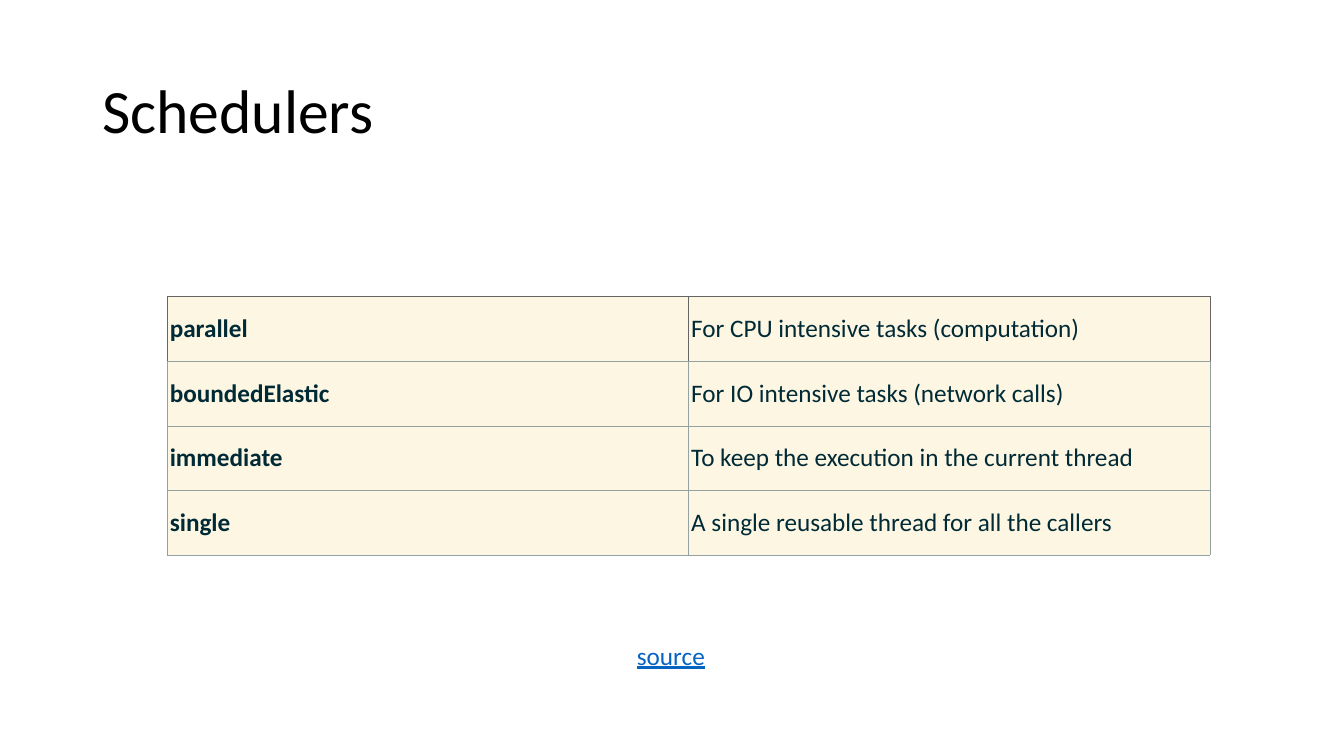
from lxml import etree
from pptx import Presentation
from pptx.dml.color import RGBColor
from pptx.enum.text import MSO_ANCHOR
from pptx.oxml.ns import qn
from pptx.util import Cm, Pt

MIDDLE = MSO_ANCHOR.MIDDLE
BLACK = RGBColor(0x00, 0x00, 0x00)
INK = RGBColor(0x00, 0x2B, 0x36)
CREAM = RGBColor(0xFD, 0xF6, 0xE3)
LINK_BLUE = RGBColor(0x05, 0x63, 0xC1)
HEAD_BORDER = RGBColor(0x65, 0x65, 0x65)
BODY_BORDER = RGBColor(0x93, 0xA1, 0xA1)
BORDER_WIDTH = Pt(0.38)

SCHEDULERS = [
    ("parallel", "For CPU intensive tasks (computation)"),
    ("boundedElastic", "For IO intensive tasks (network calls)"),
    ("immediate", "To keep the execution in the current thread"),
    ("single", "A single reusable thread for all the callers"),
]


def write(frame, text, size, color):
    frame.text = text
    font = frame.paragraphs[0].runs[0].font
    font.name = "Calibri"
    font.size = Pt(size)
    font.color.rgb = color
    return font


def add_border(cell, side, color):
    """Draw one cell edge; call before the cell is filled, sides in order L, R, T, B."""
    properties = cell._tc.get_or_add_tcPr()
    line = etree.SubElement(properties, qn(f"a:ln{side}"), w=str(BORDER_WIDTH))
    fill = etree.SubElement(line, qn("a:solidFill"))
    etree.SubElement(fill, qn("a:srgbClr"), val=str(color))


presentation = Presentation()
presentation.slide_width = Cm(33.87)
presentation.slide_height = Cm(19.05)
slide = presentation.slides.add_slide(presentation.slide_layouts[6])

title = slide.shapes.add_textbox(Cm(2.33), Cm(1.01), Cm(29.21), Cm(3.68)).text_frame
title.word_wrap = True
title.vertical_anchor = MIDDLE
write(title, "Schedulers", 44, BLACK)
title.paragraphs[0].line_spacing = 0.9

table = slide.shapes.add_table(
    len(SCHEDULERS), 2, Cm(4.21), Cm(7.47), Cm(26.28), Cm(6.52)
).table
table.first_row = False
table.horz_banding = False

for row, texts in enumerate(SCHEDULERS):
    for column, text in enumerate(texts):
        cell = table.cell(row, column)
        for side in "LRTB":
            in_head = row == 0 and side != "B"
            add_border(cell, side, HEAD_BORDER if in_head else BODY_BORDER)
        cell.fill.solid()
        cell.fill.fore_color.rgb = CREAM
        cell.vertical_anchor = MIDDLE
        cell.margin_left = cell.margin_right = Cm(0.07)
        cell.margin_top = cell.margin_bottom = Cm(0.13)
        write(cell.text_frame, text, 18, INK).bold = column == 0

source = slide.shapes.add_textbox(Cm(15.8), Cm(16), Cm(2.24), Cm(1.03)).text_frame
source.word_wrap = False
write(source, "source", 18, LINK_BLUE).underline = True

presentation.save("out.pptx")
